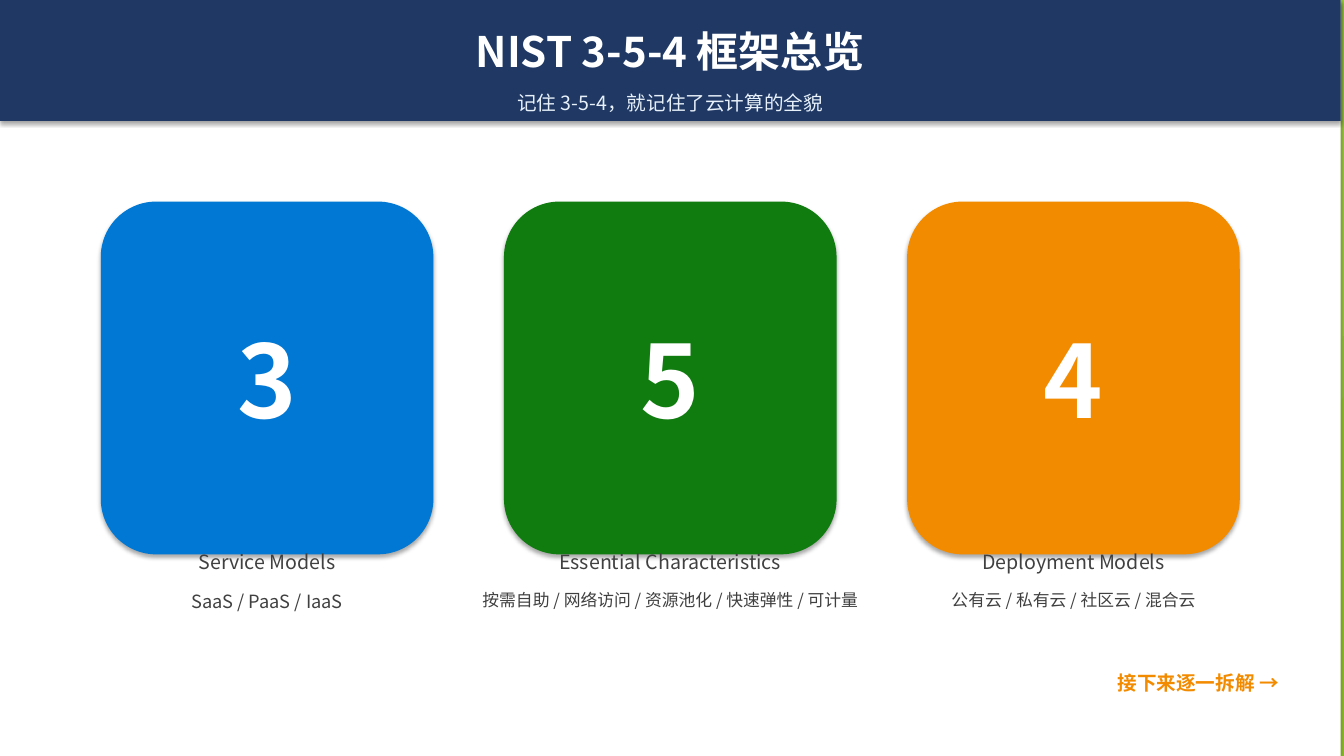
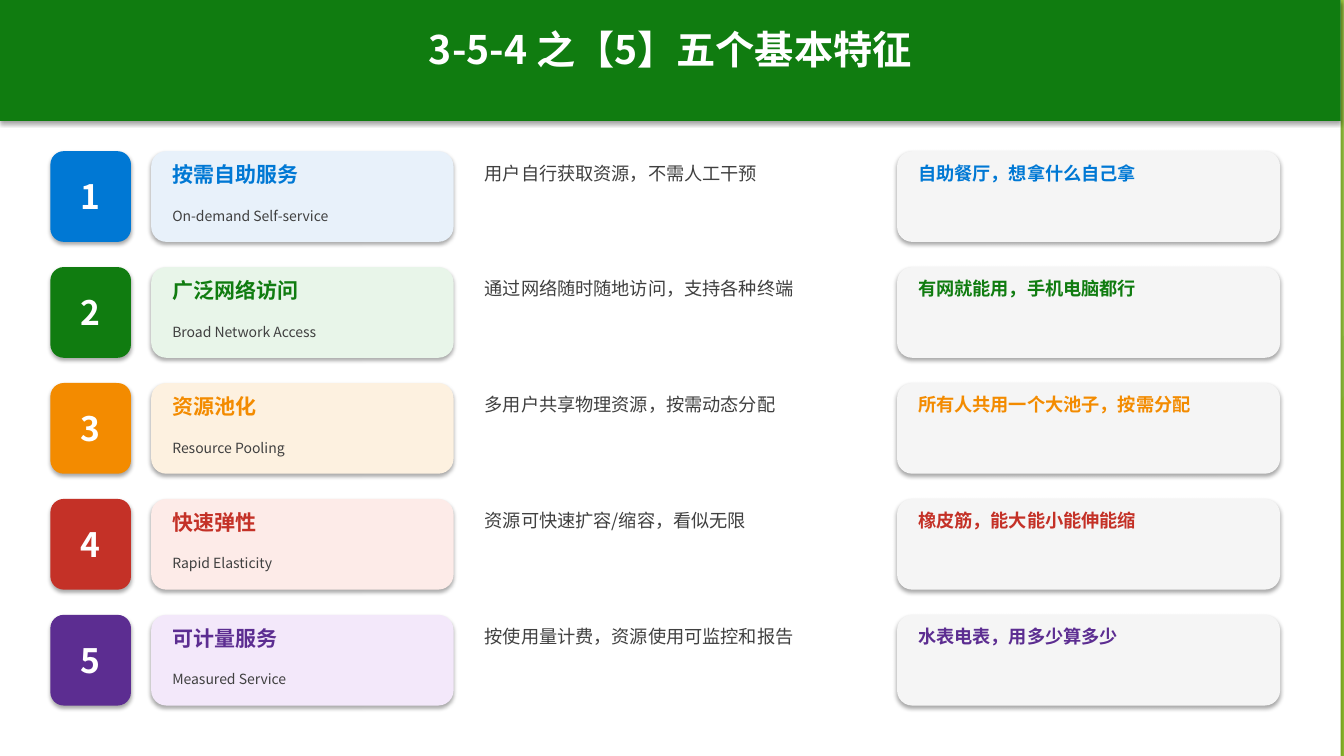
from dataclasses import dataclass

from lxml.etree import SubElement
from pptx import Presentation
from pptx.dml.color import RGBColor
from pptx.enum.shapes import MSO_SHAPE as Shape
from pptx.enum.text import MSO_ANCHOR as Anchor, MSO_AUTO_SIZE as AutoSize, PP_ALIGN as Align
from pptx.oxml.ns import qn
from pptx.util import Inches, Pt


@dataclass(frozen=True)
class Theme:
    font: str = "Noto Sans CJK SC"
    white: str = "FFFFFF"
    navy: str = "1F3864"
    ice: str = "E8F1FA"
    ink: str = "404040"
    panel: str = "F5F5F5"
    lime: str = "90C226"
    leaf: str = "54A021"
    moss: str = "3F7819"
    pale: str = "C0E474"
    blue: str = "0078D4"
    green: str = "107C10"
    orange: str = "F38B00"
    red: str = "C43127"
    purple: str = "5C2D91"
    mint: str = "E8F5E9"
    cream: str = "FDF1E0"
    blush: str = "FDEBE8"
    lilac: str = "F3E8FA"
    digit: int = 72
    title: int = 30
    long_title: int = 28
    number: int = 24
    feature: int = 15
    label: int = 14
    body: int = 13
    small: int = 12
    english: int = 10


T = Theme()
RIGHT, BOTTOM = 13.33, 7.5

FACETS = [
    (12.28, -0.01, 10.04, T.lime, 30),
    (10.5, -0.01, 11.83, T.lime, 20),
    (RIGHT, 3.33, 9.77, T.leaf, 72),
    (10.21, -0.01, 12.91, T.moss, 70),
    (13.03, -0.01, 11.92, T.pale, 70),
    (11.96, -0.01, 13.18, T.lime, 65),
    (RIGHT, 3.93, 11.34, T.lime, 80),
]

OVERVIEW = {
    "title": "NIST 3-5-4 框架总览",
    "subtitle": "记住 3-5-4，就记住了云计算的全貌",
    "next": "接下来逐一拆解 →",
    "pillars": [
        ("3", "Service Models", "SaaS / PaaS / IaaS", T.blue, T.body, 3.3),
        ("5", "Essential Characteristics",
         "按需自助 / 网络访问 / 资源池化 / 快速弹性 / 可计量", T.green, T.small, 4.3),
        ("4", "Deployment Models",
         "公有云 / 私有云 / 社区云 / 混合云", T.orange, T.small, 3.7),
    ],
}

FEATURES_TITLE = "3-5-4 之【5】五个基本特征"
FEATURES = [
    ("按需自助服务", "On-demand Self-service", "用户自行获取资源，不需人工干预",
     "自助餐厅，想拿什么自己拿", T.blue, T.ice),
    ("广泛网络访问", "Broad Network Access", "通过网络随时随地访问，支持各种终端",
     "有网就能用，手机电脑都行", T.green, T.mint),
    ("资源池化", "Resource Pooling", "多用户共享物理资源，按需动态分配",
     "所有人共用一个大池子，按需分配", T.orange, T.cream),
    ("快速弹性", "Rapid Elasticity", "资源可快速扩容/缩容，看似无限",
     "橡皮筋，能大能小能伸能缩", T.red, T.blush),
    ("可计量服务", "Measured Service", "按使用量计费，资源使用可监控和报告",
     "水表电表，用多少算多少", T.purple, T.lilac),
]


def write(frame, text, size, color, bold=False, align=Align.LEFT):
    frame.word_wrap = True
    paragraph = frame.paragraphs[0]
    paragraph.alignment = align
    run = paragraph.add_run()
    run.text = text
    font = run.font
    font.name, font.size, font.bold = T.font, Pt(size), bold
    font.color.rgb = RGBColor.from_string(color)
    SubElement(font._element, qn("a:ea"), typeface=T.font)


def add_text(slide, box, text, size, color=T.ink, bold=False, align=Align.LEFT):
    frame = slide.shapes.add_textbox(*map(Inches, box)).text_frame
    margin = Inches(0.11)
    frame.margin_left = frame.margin_right = margin
    frame.margin_top = frame.margin_bottom = margin // 2
    write(frame, text, size, color, bold, align)
    frame.auto_size = AutoSize.SHAPE_TO_FIT_TEXT


def paint(shape, color):
    shape.fill.solid()
    shape.fill.fore_color.rgb = RGBColor.from_string(color)
    shape.line.fill.background()
    shape.shadow.inherit = False


def add_block(slide, box, color, kind=Shape.ROUNDED_RECTANGLE):
    block = slide.shapes.add_shape(kind, *map(Inches, box))
    paint(block, color)
    effects = block._element.spPr.find(qn("a:effectLst"))
    outer = SubElement(effects, qn("a:outerShdw"), blurRad=str(Pt(3)),
                       dist=str(Pt(2)), dir="5400000", rotWithShape="0")
    black = SubElement(outer, qn("a:srgbClr"), val="000000")
    SubElement(black, qn("a:alpha"), val="35000")
    return block


def add_facet(slide, start, top, foot, color, opacity):
    if start == RIGHT:
        box = (foot, top, RIGHT - foot, BOTTOM - top)
        facet = slide.shapes.add_shape(Shape.ISOSCELES_TRIANGLE, *map(Inches, box))
        facet.adjustments[0] = 1
    else:
        corners = [(RIGHT, top), (RIGHT, BOTTOM), (foot, BOTTOM)]
        outline = slide.shapes.build_freeform(Inches(start), Inches(top))
        outline.add_line_segments([(Inches(x), Inches(y)) for x, y in corners])
        facet = outline.convert_to_shape()
    paint(facet, color)
    tone = facet._element.spPr.find(qn("a:solidFill")).find(qn("a:srgbClr"))
    SubElement(tone, qn("a:alpha"), val=str(opacity * 1000))


def add_number(slide, box, number, size, color):
    frame = add_block(slide, box, color).text_frame
    frame.vertical_anchor = Anchor.MIDDLE
    write(frame, number, size, T.white, True, Align.CENTER)


def add_page(deck, title, size, band):
    slide = deck.slides.add_slide(deck.slide_layouts[6])
    for facet in FACETS:
        add_facet(slide, *facet)
    add_block(slide, (0, 0, 13.3, BOTTOM), T.white, Shape.RECTANGLE)
    add_block(slide, (0, 0, 13.3, 1.2), band, Shape.RECTANGLE)
    add_text(slide, (0.5, 0.2, 12.3, 0.8), title, size, T.white, True, Align.CENTER)
    return slide


def build_overview(deck):
    slide = add_page(deck, OVERVIEW["title"], T.title, T.navy)
    add_text(slide, (3, 0.85, 7.3, 0.4), OVERVIEW["subtitle"], T.label, T.ice,
             align=Align.CENTER)
    width, pitch = 3.3, 4
    for column, (digit, name, members, color, size, span) in enumerate(OVERVIEW["pillars"]):
        left = 1 + column * pitch
        add_number(slide, (left, 2, width, 3.5), digit, T.digit, color)
        add_text(slide, (left, 5.4, width, 0.4), name, T.label, align=Align.CENTER)
        add_text(slide, (left + (width - span) / 2, 5.8, span, 0.4), members, size,
                 align=Align.CENTER)
    add_text(slide, (9.5, 6.6, 3.3, 0.5), OVERVIEW["next"], T.label, T.orange, True,
             Align.RIGHT)


def build_features(deck):
    slide = add_page(deck, FEATURES_TITLE, T.long_title, T.green)
    height, pitch = 0.9, 1.15
    for row, (name, english, meaning, analogy, color, tint) in enumerate(FEATURES):
        top = 1.5 + row * pitch
        text_top = top + 0.05
        add_number(slide, (0.5, top, 0.8, height), str(row + 1), T.number, color)
        add_block(slide, (1.5, top, 3, height), tint)
        add_text(slide, (1.6, text_top, 2.8, 0.45), name, T.feature, color, True)
        add_text(slide, (1.6, top + 0.5, 2.8, 0.35), english, T.english)
        add_text(slide, (4.7, text_top, 4, 0.85), meaning, T.body)
        add_block(slide, (8.9, top, 3.8, height), T.panel)
        add_text(slide, (9, text_top, 3.6, 0.85), analogy, T.body, color, True)


def main():
    deck = Presentation()
    deck.slide_width, deck.slide_height = Inches(40) // 3, Inches(BOTTOM)
    build_overview(deck)
    build_features(deck)
    deck.save("out.pptx")


if __name__ == "__main__":
    main()
